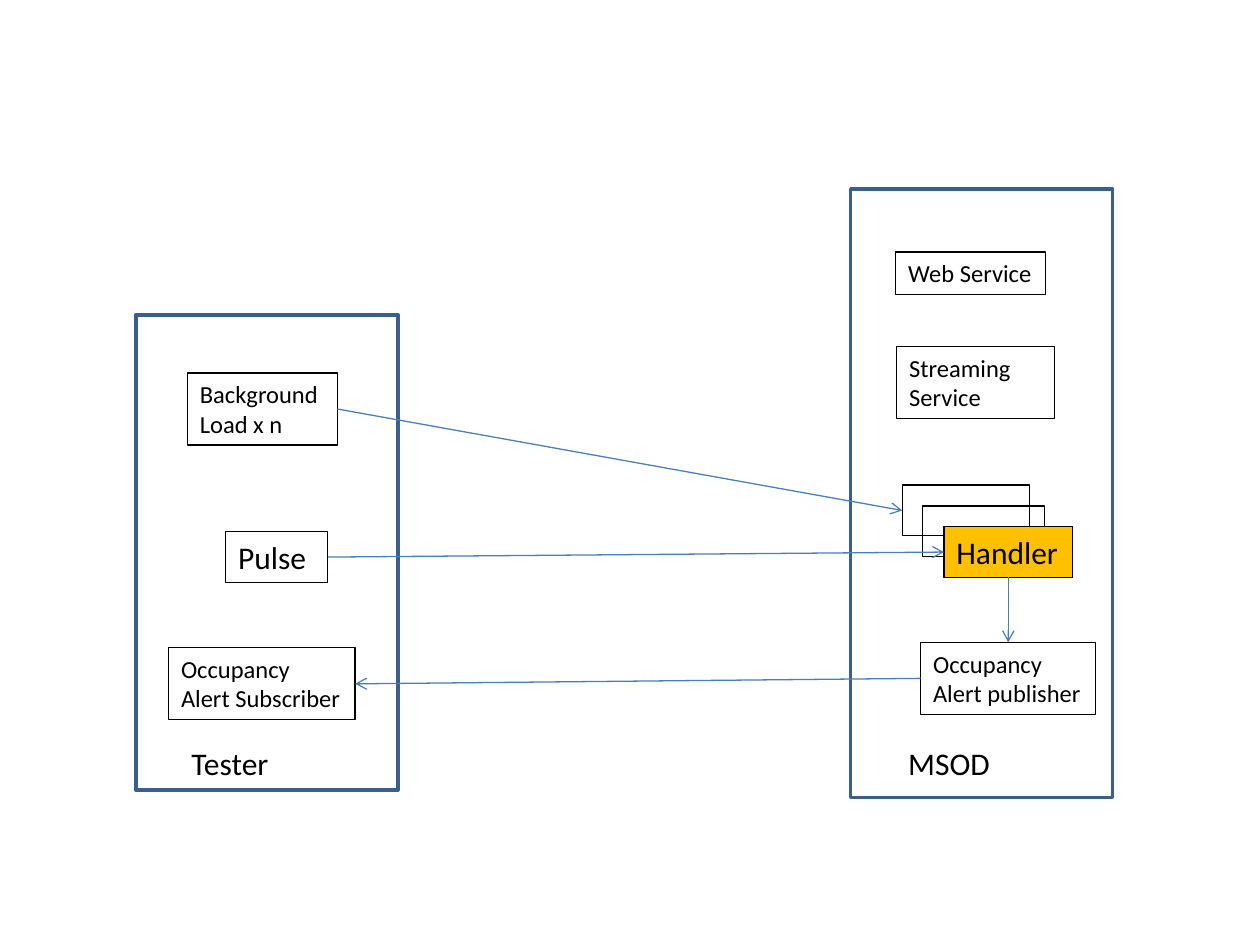
from lxml import etree
from pptx import Presentation
from pptx.dml.color import RGBColor
from pptx.enum.shapes import MSO_CONNECTOR, MSO_SHAPE
from pptx.enum.text import MSO_ANCHOR, MSO_AUTO_SIZE, PP_ALIGN
from pptx.oxml.ns import qn
from pptx.util import Cm, Pt

RECT = MSO_SHAPE.RECTANGLE
STRAIGHT = MSO_CONNECTOR.STRAIGHT
FIT = MSO_AUTO_SIZE.SHAPE_TO_FIT_TEXT
TOP_ANCHOR = MSO_ANCHOR.TOP
ALIGN_LEFT = PP_ALIGN.LEFT
LEFT, BOTTOM, RIGHT, TOP = 1, 2, 3, 0  # connection sites of a rectangle

SMALL, LARGE = 14, 18
ONE_SMALL, ONE_LARGE, TWO_SMALL = 0.86, 1.02, 1.45  # box heights by text
FRAME_WIDTH = 5.28
LABEL_TOP = 14.88


def color(hex_string):
    """Turn a hex string into a colour."""
    return RGBColor.from_string(hex_string)


def write(sp, text, size=SMALL, ink="000000", font="Calibri", wrap=False):
    """Put text into a shape, one paragraph per line."""
    tf = sp.text_frame
    tf.word_wrap = wrap
    tf.auto_size = FIT
    tf.vertical_anchor = TOP_ANCHOR
    for i, line in enumerate(text.split("\n")):
        p = tf.paragraphs[0] if i == 0 else tf.add_paragraph()
        p.alignment = ALIGN_LEFT
        r = p.add_run()
        r.text = line
        r.font.name = font
        r.font.size = Pt(size)
        r.font.color.rgb = color(ink)


class Diagram:
    """Style and current slide of a block diagram."""

    frame_line = "3A5F8C"
    box_line = "000000"
    arrow_line = "4B7EBC"
    thin, thick = 0.75, 2

    def __init__(self, slide):
        """Keep the slide to draw on."""
        self.shapes = slide.shapes

    def rect(self, x, y, w, h, line, weight, fill=None):
        """Draw an outlined rectangle."""
        sp = self.shapes.add_shape(RECT, Cm(x), Cm(y), Cm(w), Cm(h))
        sp.shadow.inherit = False
        if fill:
            sp.fill.solid()
            sp.fill.fore_color.rgb = color(fill)
        else:
            sp.fill.background()
        sp.line.color.rgb = color(line)
        sp.line.width = Pt(weight)
        return sp

    def frame(self, x, y, h):
        """Draw the outline of a system."""
        return self.rect(x, y, FRAME_WIDTH, h, self.frame_line, self.thick)

    def box(self, x, y, w, h, text="", fill=None, **style):
        """Draw a component box, with or without text."""
        sp = self.rect(x, y, w, h, self.box_line, self.thin, fill)
        if text:
            write(sp, text, **style)
        return sp

    def label(self, x, w, text):
        """Name a system at its foot."""
        sp = self.shapes.add_textbox(Cm(x), Cm(LABEL_TOP), Cm(w), Cm(ONE_LARGE))
        write(sp, text, size=LARGE)

    def arrow(self, start, start_site, end, end_site):
        """Join two boxes with an arrow glued to their sides."""
        cn = self.shapes.add_connector(STRAIGHT, 0, 0, 0, 0)
        cn.begin_connect(start, start_site)
        cn.end_connect(end, end_site)
        cn.line.color.rgb = color(self.arrow_line)
        cn.line.width = Pt(self.thin)
        etree.SubElement(cn.line._get_or_add_ln(), qn("a:tailEnd"), type="arrow")
        etree.SubElement(cn._element.spPr, qn("a:effectLst"))


def main():
    """Build the slide and save it."""
    prs = Presentation()
    prs.slide_width, prs.slide_height = Cm(25.4), Cm(19.05)
    s = prs.slides.add_slide(prs.slide_layouts[6])
    d = Diagram(s)

    d.frame(17.15, 3.81, 12.27)
    d.label(18.06, 2.18, "MSOD")
    d.box(18.06, 5.08, 3.02, ONE_SMALL, "Web Service")
    d.box(18.08, 6.99, 3.18, TWO_SMALL, "Streaming Service", wrap=True)
    back_handler = d.box(18.19, 9.78, 2.57, ONE_LARGE)
    d.box(18.6, 10.2, 2.46, ONE_LARGE)
    handler = d.box(19.03, 10.62, 2.59, ONE_LARGE, "Handler", fill="FFC000", size=LARGE)
    publisher = d.box(18.56, 12.95, 3.53, TWO_SMALL, "Occupancy \nAlert publisher")

    d.frame(2.74, 6.35, 9.58)
    d.label(3.61, 2.08, "Tester")
    load = d.box(3.78, 7.52, 3.02, TWO_SMALL, "Background \nLoad x n")
    pulse = d.box(4.55, 10.72, 2.06, ONE_LARGE, "Pulse ", size=LARGE)
    subscriber = d.box(3.4, 13.06, 3.76, TWO_SMALL, "Occupancy\nAlert Subscriber")

    d.arrow(load, RIGHT, back_handler, LEFT)
    d.arrow(pulse, RIGHT, handler, LEFT)
    d.arrow(handler, BOTTOM, publisher, TOP)
    d.arrow(publisher, LEFT, subscriber, RIGHT)

    prs.save("out.pptx")


main()
